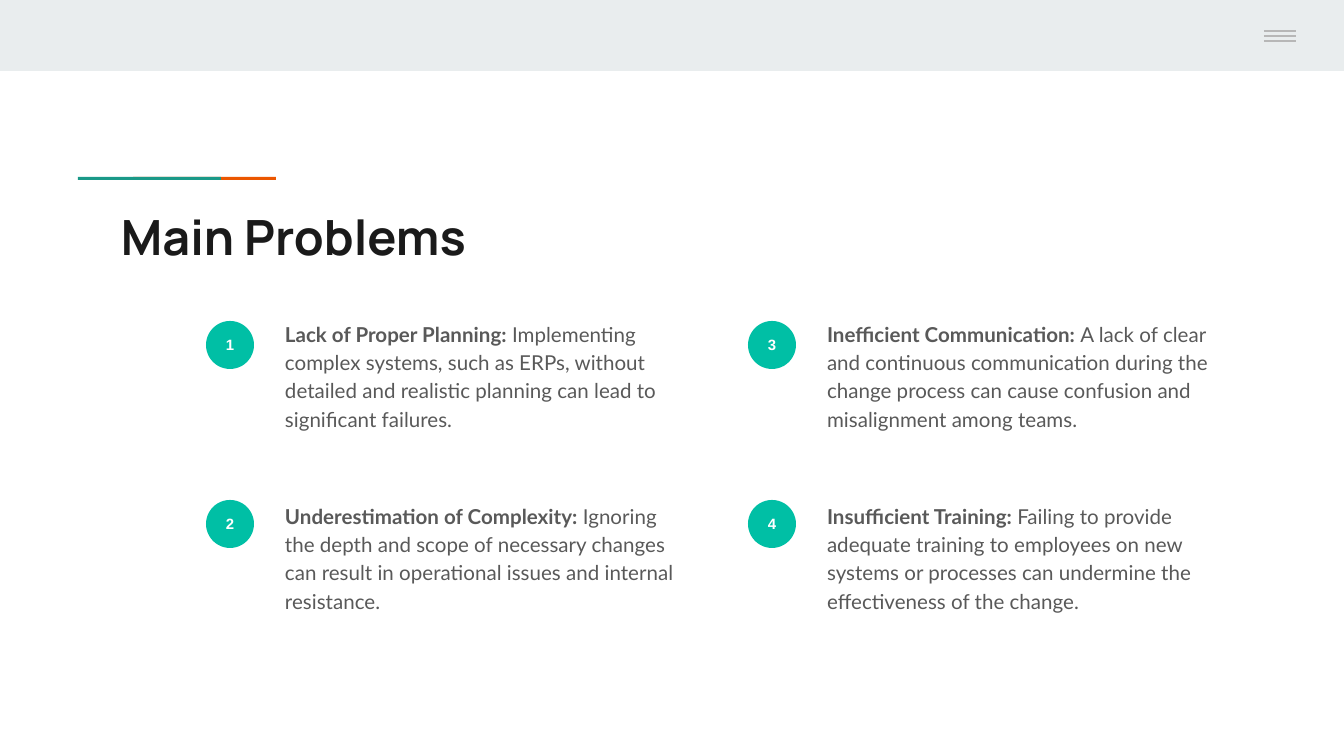
from typing import NamedTuple

from pptx import Presentation
from pptx.dml.color import RGBColor as RGB
from pptx.enum.shapes import MSO_CONNECTOR as Conn, MSO_SHAPE as Kind
from pptx.enum.text import MSO_ANCHOR as Anchor, PP_ALIGN as Align
from pptx.oxml.ns import qn
from pptx.util import Emu, Pt

SCALE = 914400 / 134.4  # EMU in one px


class Theme(NamedTuple):
    band: str = "E9EDEE"
    orange: str = "EB5600"
    teal: str = "1A9988"
    mint: str = "00BFA5"
    rule: str = "B7B7B7"
    title: dict = dict(name="Manrope", size=26, color="1A1A1A", bold=True)
    badge: dict = dict(name="Arial", size=8, color="FFFFFF", bold=True)
    head: dict = dict(name="Lato", size=11, color="595959", bold=True)
    body: dict = dict(name="Lato", size=11, color="595959", bold=False)


class Box(NamedTuple):
    left: int
    top: int
    width: int
    height: int


class Problem(NamedTuple):
    head: str
    body: str


class Row(NamedTuple):
    badge: int
    text: int


THEME = Theme()
INSET = 13
COLS = [206, 748]
ROWS = [Row(321, 305), Row(500, 487)]
PROBLEMS = [
    Problem("Lack of Proper Planning: ",
            "Implementing complex systems, such as ERPs, without detailed "
            "and realistic planning can lead to significant failures."),
    Problem("Underestimation of Complexity: ",
            "Ignoring the depth and scope of necessary changes can result "
            "in operational issues and internal resistance."),
    Problem("Inefficient Communication: ",
            "A lack of clear and continuous communication during the change "
            "process can cause confusion and misalignment among teams."),
    Problem("Insufficient Training: ",
            "Failing to provide adequate training to employees on new systems "
            "or processes can undermine the effectiveness of the change."),
]


def px(n: int) -> Emu:
    return Emu(round(n * SCALE))


def add_run(para, text: str, style: dict) -> None:
    run = para.add_run()
    run.text = text
    for key, value in style.items():
        if key == "color":
            run.font.color.rgb = RGB.from_string(value)
        else:
            setattr(run.font, key, Pt(value) if key == "size" else value)


def set_frame(frame, anchor: Anchor) -> None:
    sides = dict.fromkeys(("left", "top", "right", "bottom"), px(INSET))
    for side, gap in sides.items():
        setattr(frame, f"margin_{side}", gap)
    frame.word_wrap = True
    frame.vertical_anchor = anchor


def add_shape(slide, kind: Kind, box: Box, fill: str):
    shape = slide.shapes.add_shape(kind, *map(px, box))
    shape.shadow.inherit = False
    shape.fill.solid()
    shape.fill.fore_color.rgb = RGB.from_string(fill)
    shape.line.fill.background()
    return shape


def add_rule(slide, left: int, right: int, top: int) -> None:
    rule = slide.shapes.add_connector(
        Conn.STRAIGHT, px(left), px(top), px(right), px(top))
    rule.line.color.rgb = RGB.from_string(THEME.rule)
    rule.line.width = Pt(0.75)
    props = rule._element.spPr
    props.append(props.makeelement(qn("a:effectLst"), {}))


def add_text(slide, box: Box, runs: list, **format):
    frame = slide.shapes.add_textbox(*map(px, box)).text_frame
    set_frame(frame, Anchor.TOP)
    para = frame.paragraphs[0]
    for key, value in format.items():
        setattr(para, key, value)
    for text, style in runs:
        add_run(para, text, style)


def add_badge(slide, left: int, top: int, label: str) -> None:
    badge = add_shape(slide, Kind.OVAL, Box(left, top, 48, 48), THEME.mint)
    set_frame(badge.text_frame, Anchor.MIDDLE)
    para = badge.text_frame.paragraphs[0]
    para.alignment = Align.CENTER
    add_run(para, label, THEME.badge)


def add_problem(slide, index: int, item: Problem) -> None:
    col, row = divmod(index, len(ROWS))
    left, tops = COLS[col], ROWS[row]
    add_badge(slide, left, tops.badge, str(index + 1))
    add_text(slide, Box(left + 66, tops.text, 417, 155),
             [(item.head, THEME.head), (item.body, THEME.body)],
             line_spacing=1.15, space_after=Pt(16))


def main() -> None:
    deck = Presentation()
    deck.slide_width, deck.slide_height = px(1344), px(756)
    slide = deck.slides.add_slide(deck.slide_layouts[6])

    # Top band with menu icon
    add_shape(slide, Kind.RECTANGLE, Box(0, 0, 1344, 71), THEME.band)
    for top in range(31, 42, 5):
        add_rule(slide, 1264, 1296, top)

    # Accent bars and title
    for left, color in ((133, THEME.orange), (78, THEME.teal)):
        add_shape(slide, Kind.RECTANGLE, Box(left, 177, 143, 3), color)
    add_text(slide, Box(108, 194, 1130, 79), [("Main Problems", THEME.title)])

    # Numbered problems, down each column
    for index, item in enumerate(PROBLEMS):
        add_problem(slide, index, item)

    deck.save("out.pptx")


if __name__ == "__main__":
    main()
